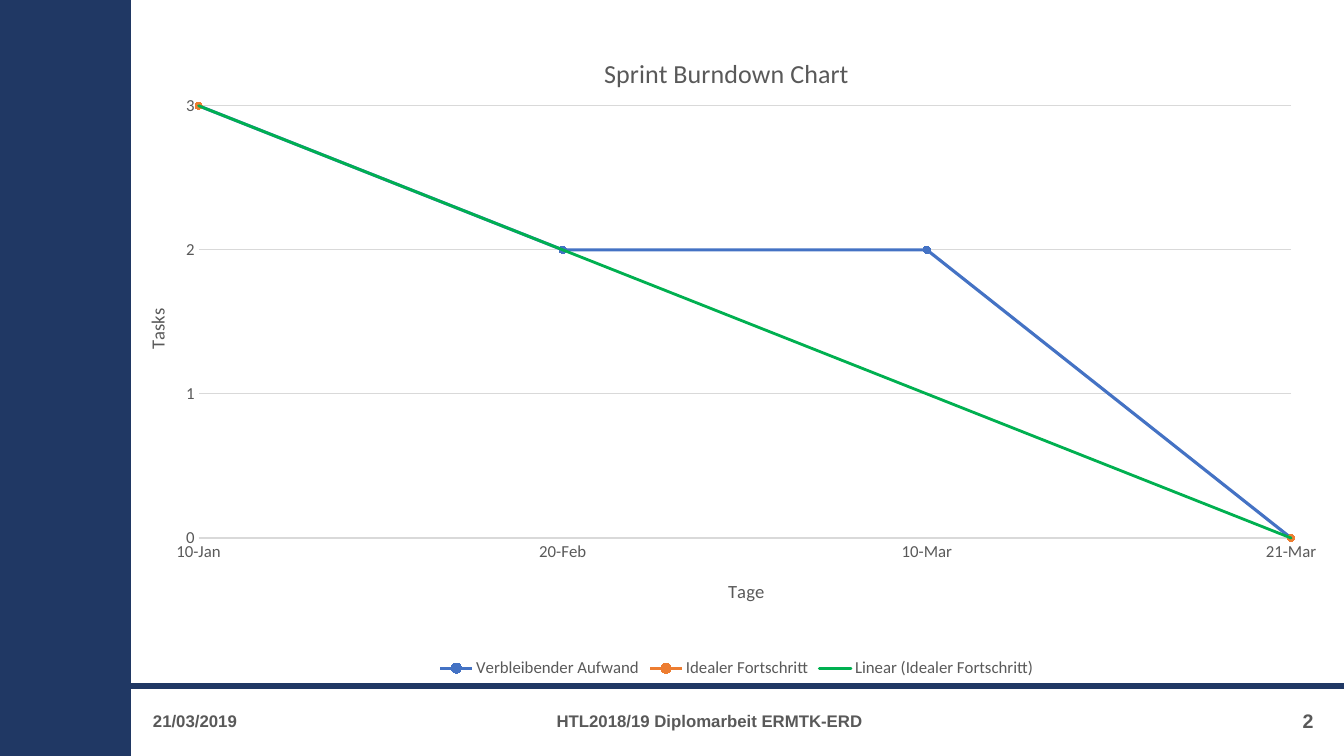
import pptx
import pptx.chart.data
import pptx.dml.color
import pptx.enum.chart
import pptx.enum.shapes
import pptx.enum.text
import pptx.oxml
import pptx.oxml.ns
import pptx.util

Pt = pptx.util.Pt
RGBColor = pptx.dml.color.RGBColor
ALIGN = pptx.enum.text.PP_ALIGN
NONE_TICK = pptx.enum.chart.XL_TICK_MARK.NONE

NAVY = RGBColor(0x20, 0x38, 0x64)
GRAY = RGBColor(0x59, 0x59, 0x59)
GRID = RGBColor(0xD9, 0xD9, 0xD9)
BLUE = RGBColor(0x44, 0x72, 0xC4)
ORANGE = RGBColor(0xED, 0x7D, 0x31)
GREEN = RGBColor(0x00, 0xB0, 0x50)

SLIDE_W, SLIDE_H = 960, 540
SIDEBAR_W = 93
RULE_TOP, RULE_H = 488, 4
FOOTER_TOP, FOOTER_H = 500.4, 28.8

CHART_TITLE = "Sprint Burndown Chart"
DAYS_TITLE, TASKS_TITLE = "Tage", "Tasks"
DAYS = ["10-Jan", "20-Feb", "10-Mar", "21-Mar"]
PROGRESS = [
    ("Verbleibender Aufwand", [3, 2, 2, 0], BLUE),
    ("Idealer Fortschritt", [3, None, None, 0], ORANGE),
]
TREND_NAME = "Linear (Idealer Fortschritt)"
CHART_BOX = (100.8, 22.3, 839.5, 465.8)

# text, left, width, size, alignment
FOOTER = [
    ("21/03/2019", 102.2, 216, 12, ALIGN.LEFT),
    ("HTL2018/19 Diplomarbeit ERMTK-ERD", 344.9, 324, 12, ALIGN.CENTER),
    ("2", 729.4, 216, 14, ALIGN.RIGHT),
]
BARS = [
    (0, 0, SIDEBAR_W, SLIDE_H),
    (SIDEBAR_W, RULE_TOP, SLIDE_W - SIDEBAR_W, RULE_H),
]


def set_font(font, name, size, bold=False):
    font.name = name
    font.size = Pt(size)
    font.bold = bold
    font.color.rgb = GRAY


def style_line(line, color, width):
    line.color.rgb = color
    line.width = Pt(width)


def chart_xml(markup):
    return pptx.oxml.parse_xml(
        markup.replace(">", f" {pptx.oxml.ns.nsdecls('c', 'a')}>", 1))


def manual_layout(x, y, extra=""):
    return chart_xml(
        "<c:layout><c:manualLayout>" + extra +
        '<c:xMode val="edge"/><c:yMode val="edge"/>'
        f'<c:x val="{x}"/><c:y val="{y}"/>'
        "</c:manualLayout></c:layout>")


def place_part(part, x, y):
    """Put the chart title or legend at a fraction of the chart area."""
    for layout in part.xpath("c:layout"):
        part.remove(layout)
    part.xpath("c:overlay")[0].addprevious(manual_layout(x, y))


def style_axis(axis, title):
    axis.major_tick_mark = axis.minor_tick_mark = NONE_TICK
    set_font(axis.tick_labels.font, "Calibri", 12)
    frame = axis.axis_title.text_frame
    frame.text = title
    set_font(frame.paragraphs[0].font, "Calibri", 13.3)


def add_burndown(slide):
    data = pptx.chart.data.CategoryChartData()
    data.categories = DAYS
    for name, values, _ in PROGRESS:
        data.add_series(name, values)
    chart = slide.shapes.add_chart(
        pptx.enum.chart.XL_CHART_TYPE.LINE_MARKERS,
        *map(Pt, CHART_BOX), data).chart

    set_font(chart.font, "Calibri", 12)
    chart.has_title = True
    chart.chart_title.text_frame.text = CHART_TITLE
    set_font(chart.chart_title.text_frame.paragraphs[0].font, "Calibri", 18.6)

    chart.has_legend = True
    chart.legend.position = pptx.enum.chart.XL_LEGEND_POSITION.BOTTOM
    chart.legend.include_in_layout = False
    set_font(chart.legend.font, "Calibri", 12)

    days, tasks = chart.category_axis, chart.value_axis
    style_axis(days, DAYS_TITLE)
    style_line(days.format.line, GRID, 0.75)
    style_axis(tasks, TASKS_TITLE)
    tasks.minimum_scale, tasks.maximum_scale, tasks.major_unit = 0, 3, 1
    tasks.tick_labels.number_format = "General"
    tasks.tick_labels.number_format_is_linked = False
    tasks.format.line.fill.background()
    style_line(tasks.major_gridlines.format.line, GRID, 0.75)

    plot = chart.plots[0]
    plot.vary_by_categories = False
    for series, (_, _, color) in zip(plot.series, PROGRESS):
        series.smooth = False
        style_line(series.format.line, color, 2.25)
        marker = series.marker
        marker.style = pptx.enum.chart.XL_MARKER_STYLE.CIRCLE
        marker.size = 5
        marker.format.fill.solid()
        marker.format.fill.fore_color.rgb = color
        style_line(marker.format.line, color, 0.75)
    finish_chart_xml(chart.element)


def finish_chart_xml(root):
    """Add the trend line, edge-to-edge categories and fixed placement."""
    root.xpath("//c:ser")[-1].xpath("c:cat")[0].addprevious(chart_xml(
        f"<c:trendline><c:name>{TREND_NAME}</c:name>"
        f'<c:spPr><a:ln w="{Pt(2)}" cap="rnd"><a:solidFill>'
        f'<a:srgbClr val="{GREEN}"/></a:solidFill></a:ln></c:spPr>'
        '<c:trendlineType val="linear"/><c:dispRSqr val="0"/>'
        '<c:dispEq val="0"/></c:trendline>'))

    for crossing in root.xpath("//c:valAx/c:crossBetween"):
        crossing.getparent().remove(crossing)
    crossing = chart_xml("<c:crossBetween></c:crossBetween>")
    crossing.set("val", "midCat")
    root.xpath("//c:valAx/c:crosses")[0].addnext(crossing)
    root.xpath("//c:valAx/c:title//a:bodyPr")[0].set("rot", "-5400000")

    plot_area = root.xpath("//c:plotArea")[0]
    for layout in plot_area.xpath("c:layout"):
        plot_area.remove(layout)
    layout = manual_layout(0.03, 0.099, '<c:layoutTarget val="outer"/>')
    for tag, share in (("w", 0.97), ("h", 0.715)):
        size = chart_xml(f"<c:{tag}></c:{tag}>")
        size.set("val", str(share))
        layout[0].append(size)
    plot_area.insert(0, layout)
    place_part(root.xpath("c:chart/c:title")[0], 0.39, 0.03)
    place_part(root.xpath("c:chart/c:legend")[0], 0.25, 0.96)


def add_footer(slide):
    for text, left, width, size, align in FOOTER:
        frame = slide.shapes.add_textbox(
            Pt(left), Pt(FOOTER_TOP), Pt(width), Pt(FOOTER_H)).text_frame
        frame.word_wrap = True
        frame.vertical_anchor = pptx.enum.text.MSO_ANCHOR.MIDDLE
        frame.text = text
        paragraph = frame.paragraphs[0]
        paragraph.alignment = align
        set_font(paragraph.font, "Arial", size, bold=True)


def main():
    deck = pptx.Presentation()
    deck.slide_width, deck.slide_height = Pt(SLIDE_W), Pt(SLIDE_H)
    slide = deck.slides.add_slide(deck.slide_layouts[6])
    for box in BARS:
        bar = slide.shapes.add_shape(
            pptx.enum.shapes.MSO_SHAPE.RECTANGLE, *map(Pt, box))
        bar.shadow.inherit = False
        bar.fill.solid()
        bar.fill.fore_color.rgb = NAVY
        style_line(bar.line, NAVY, 1)
    add_footer(slide)
    add_burndown(slide)
    deck.save("out.pptx")


if __name__ == "__main__":
    main()
